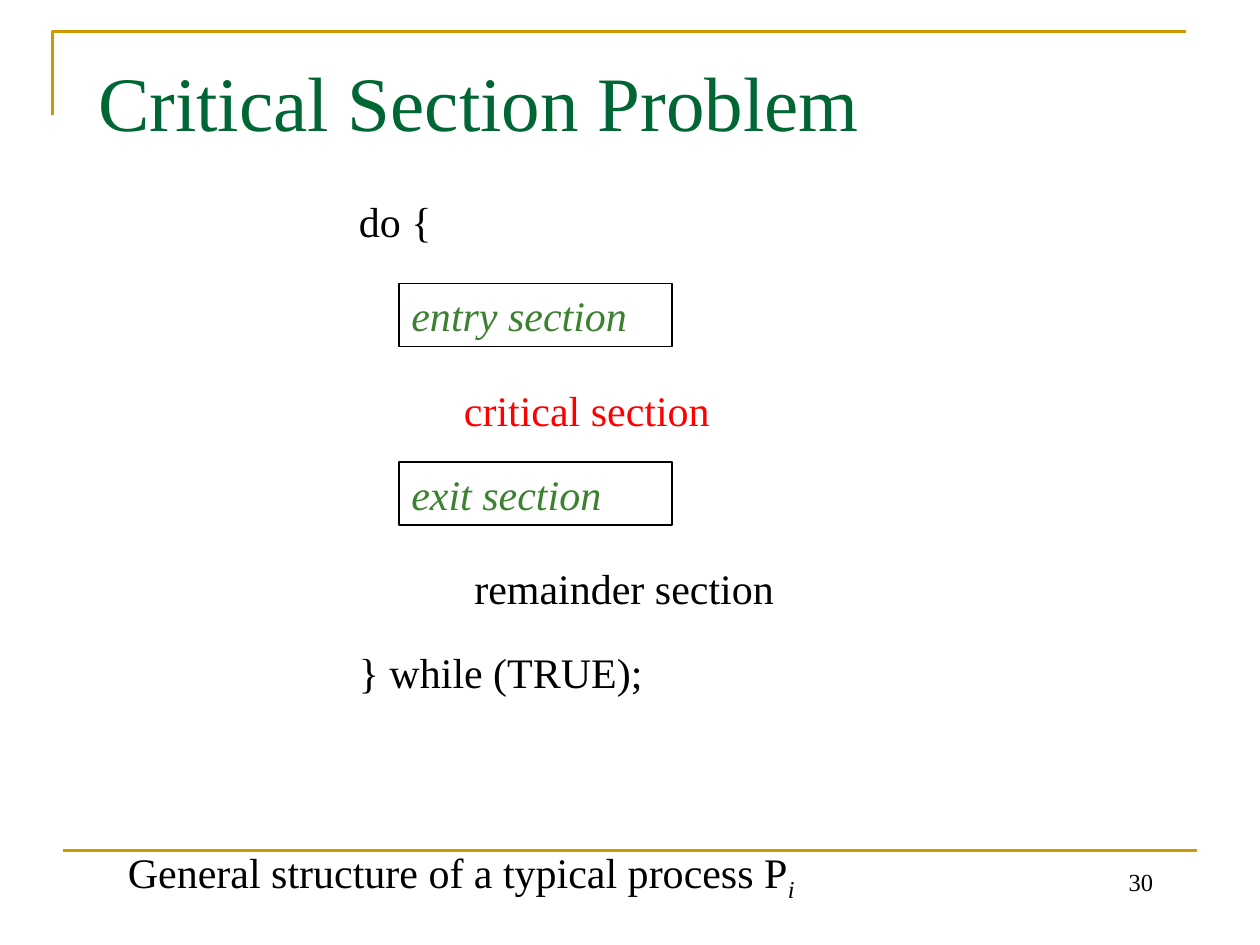
import pptx
import pptx.util
import pptx.dml.color
import pptx.enum.shapes
import pptx.enum.text
import lxml.etree

Pt = pptx.util.Pt
FONT = "Times New Roman"
BLACK, GOLD, GREEN, RED, TITLE_GREEN = "000000", "CC9900", "3B812F", "FF0000", "006633"

# Content: text, left, top, width, colour, boxed
CODE = [
    ("do {", 198, 108, 126, BLACK, False),
    ("entry section", 228, 162, 156, GREEN, True),
    ("critical section", 258, 216, 204, RED, False),
    ("exit section", 228, 264, 156, GREEN, True),
    ("remainder section", 264, 318, 204, BLACK, False),
    ("} while (TRUE);", 198, 366, 210, BLACK, False),
]
TITLE = "Critical Section Problem"
CAPTION, SUBSCRIPT = "General structure of a typical process P", "i"
PAGE = "30"

prs = pptx.Presentation()
prs.slide_width, prs.slide_height = Pt(720), Pt(540)
s = prs.slides.add_slide(prs.slide_layouts[6])


def rgb(color):
    return pptx.dml.color.RGBColor.from_string(color)


def style_line(sp, color, width):
    sp.line.color.rgb = rgb(color)
    sp.line.width = Pt(width)


def add_text(text, left, top, width, height=36, color=BLACK, size=24, boxed=False, wrap=True):
    box = [Pt(v) for v in (left, top, width, height)]
    if boxed:
        sp = s.shapes.add_shape(pptx.enum.shapes.MSO_SHAPE.RECTANGLE, *box)
        sp.shadow.inherit = False
        sp.fill.background()
        style_line(sp, BLACK, 0.75)
    else:
        sp = s.shapes.add_textbox(*box)
    tf = sp.text_frame
    tf.word_wrap = wrap
    tf.vertical_anchor = pptx.enum.text.MSO_ANCHOR.TOP
    p = tf.paragraphs[0]
    p.alignment = pptx.enum.text.PP_ALIGN.LEFT
    p.add_run().text = text
    p.font.name, p.font.size, p.font.italic = FONT, Pt(size), boxed
    p.font.color.rgb = rgb(color)
    if size == 24:
        p.space_before = Pt(15)
        tf.auto_size = pptx.enum.text.MSO_AUTO_SIZE.SHAPE_TO_FIT_TEXT
    return p


# Frame: corner line at the top, rule at the bottom
fb = s.shapes.build_freeform(Pt(30), Pt(66))
fb.add_line_segments([(Pt(30), Pt(18)), (Pt(678), Pt(18))], close=False)
corner = fb.convert_to_shape()
corner.shadow.inherit = False
corner.fill.background()
style_line(corner, GOLD, 1.5)

rule = s.shapes.add_connector(
    pptx.enum.shapes.MSO_CONNECTOR.STRAIGHT, Pt(36), Pt(486), Pt(684), Pt(486))
style_line(rule, GOLD, 1.5)
lxml.etree.SubElement(rule._element.spPr, pptx.oxml.ns.qn("a:effectLst"))

# Page number and caption
add_text(PAGE, 516, 492, 150, size=14).alignment = pptx.enum.text.PP_ALIGN.RIGHT

p = add_text(CAPTION, 66, 480, 564, 40)
r = p.add_run()
r.text = SUBSCRIPT
r.font.italic = True
r.font._element.set("baseline", "-25000")

# Process structure
for text, left, top, width, color, boxed in CODE:
    add_text(text, left, top, width, color=color, boxed=boxed)

# Title
add_text(TITLE, 49, 27.5, 450, 60.5, TITLE_GREEN, 44, wrap=False)

prs.save("out.pptx")
